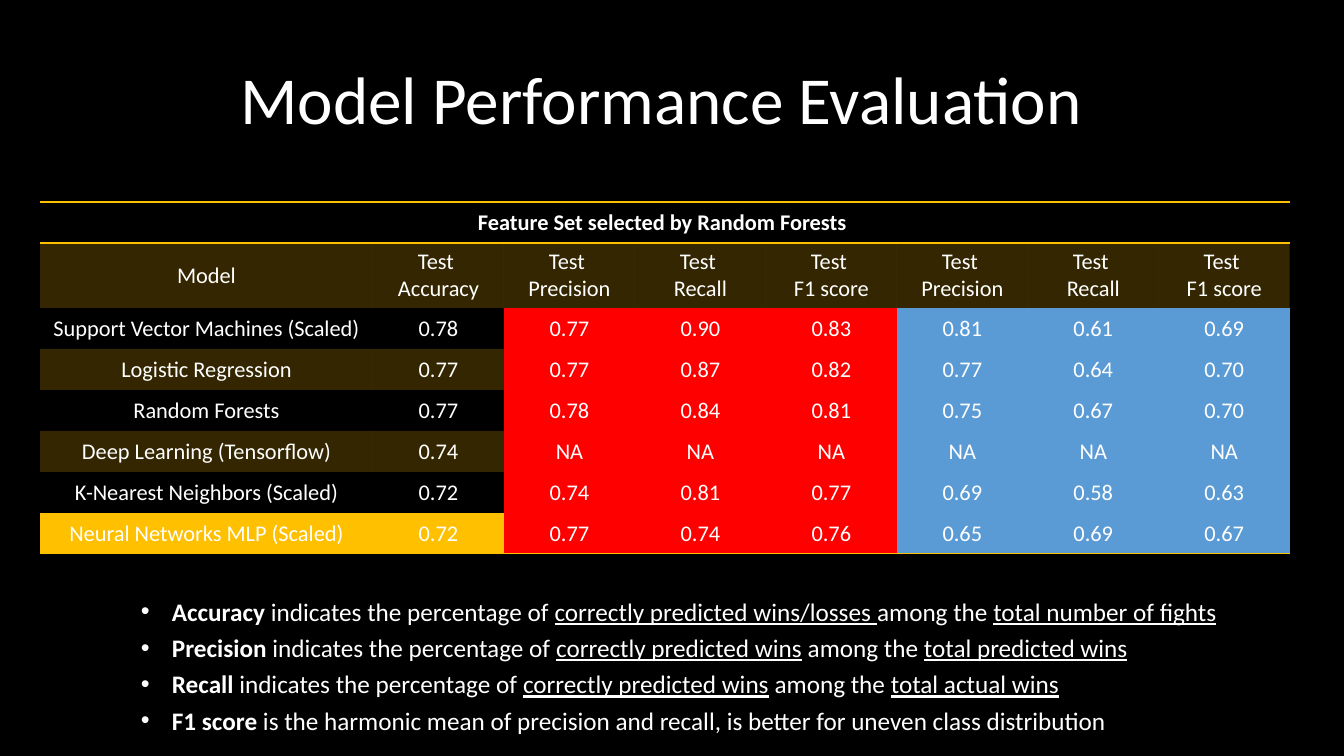
"""Build the model performance evaluation slide with its score table and metric notes."""
from typing import NamedTuple

from lxml import etree
from pptx import Presentation
from pptx import util as u
from pptx.dml import color
from pptx.enum import text
from pptx.oxml import ns

SCALE = 12192000 / 1344
FONT = "Calibri"
WHITE, BLACK, GOLD, RED, BLUE = "FFFFFF", "000000", "FFC000", "FF0000", "5B9BD5"
NO_GRID_STYLE = "{2D5ABB26-0587-4C30-8999-92F81FD0307C}"
COLUMN_WIDTHS = [333] + [131] * 7
ROW_HEIGHT = 41
INDENT = 31


class Box(NamedTuple):
    left: int
    top: int
    width: int
    height: int


class Model(NamedTuple):
    name: str
    accuracy: str
    win_scores: tuple[str, str, str]
    loss_scores: tuple[str, str, str]


class Note(NamedTuple):
    metric: str
    meaning: str
    counted: str = ""
    link: str = ""
    total: str = ""


TITLE_BOX = Box(82, 30, 1159, 146)
TABLE_BOX = Box(40, 202, sum(COLUMN_WIDTHS), ROW_HEIGHT * 8)
NOTES_BOX = Box(131, 585, 1119, 154)

CAPTION = "Feature Set selected by Random Forests "
SCORE_HEADERS = ["Test \nPrecision", "Test \nRecall", "Test \nF1 score"]
HEADERS = ["Model", "Test \nAccuracy"] + SCORE_HEADERS * 2
NA = ("NA", "NA", "NA")
MODELS = [
    Model("Support Vector Machines (Scaled)", "0.78", ("0.77", "0.90", "0.83"), ("0.81", "0.61", "0.69")),
    Model("Logistic Regression", "0.77", ("0.77", "0.87", "0.82"), ("0.77", "0.64", "0.70")),
    Model("Random Forests", "0.77", ("0.78", "0.84", "0.81"), ("0.75", "0.67", "0.70")),
    Model("Deep Learning (Tensorflow)", "0.74", NA, NA),
    Model("K-Nearest Neighbors (Scaled)", "0.72", ("0.74", "0.81", "0.77"), ("0.69", "0.58", "0.63")),
    Model("Neural Networks MLP (Scaled)", "0.72", ("0.77", "0.74", "0.76"), ("0.65", "0.69", "0.67")),
]
PERCENTAGE = " indicates the percentage of "
NOTES = [
    Note("Accuracy", PERCENTAGE, "correctly predicted wins/losses ", "among the ", "total number of fights"),
    Note("Precision", PERCENTAGE, "correctly predicted wins", " among the ", "total predicted wins"),
    Note("Recall", PERCENTAGE, "correctly predicted wins", " among the ", "total actual wins"),
    Note("F1 score", " is the harmonic mean of precision and recall, is better for uneven class distribution"),
]


def px(pixels: int) -> u.Emu:
    return u.Emu(round(pixels * SCALE))


def place(box: Box) -> list[u.Emu]:
    return [px(length) for length in box]


def rgb(value: str) -> color.RGBColor:
    return color.RGBColor.from_string(value)


def style(span, size: int, bold: bool = False, underline: bool = False) -> None:
    font = span.font
    font.name, font.size, font.bold, font.underline = FONT, u.Pt(size), bold, underline
    font.color.rgb = rgb(WHITE)


def add_border(cell, side: str) -> None:
    line = etree.SubElement(cell._tc.get_or_add_tcPr(), ns.qn(f"a:{side}"), w=str(u.Pt(1)))
    fill = etree.SubElement(line, ns.qn("a:solidFill"))
    etree.SubElement(fill, ns.qn("a:srgbClr"), val=GOLD)


def fill_cell(cell, row: int, column: int) -> None:
    banded = row % 2 == 1
    if row > 1 and column > 1:
        cell.fill.solid()
        cell.fill.fore_color.rgb = rgb(RED if column < 5 else BLUE)
    elif banded:
        cell.fill.solid()
        cell.fill.fore_color.rgb = rgb(GOLD)
        tint = cell._tc.tcPr.find(".//" + ns.qn("a:srgbClr"))
        etree.SubElement(tint, ns.qn("a:alpha"), val="20000")
    else:
        cell.fill.background()


def write_cell(cell, words: str, bold: bool) -> None:
    cell.text_frame.text = words
    cell.vertical_anchor = text.MSO_ANCHOR.MIDDLE
    for para in cell.text_frame.paragraphs:
        para.alignment = text.PP_ALIGN.CENTER
        for span in para.runs:
            style(span, 16, bold)


def add_title(page) -> None:
    title = page.shapes.title
    title.left, title.top, title.width, title.height = place(TITLE_BOX)
    frame = title.text_frame
    frame.text = "Model Performance Evaluation"
    frame.vertical_anchor = text.MSO_ANCHOR.MIDDLE
    para = frame.paragraphs[0]
    para.alignment, para.line_spacing = text.PP_ALIGN.CENTER, 0.9
    style(para.runs[0], 48)


def add_scores(page) -> None:
    rows = [[CAPTION] + [""] * 7, HEADERS]
    rows += [[model.name, model.accuracy, *model.win_scores, *model.loss_scores] for model in MODELS]
    table = page.shapes.add_table(len(rows), len(HEADERS), *place(TABLE_BOX)).table
    table.first_row = table.horz_banding = False
    table._tbl.tblPr.find(ns.qn("a:tableStyleId")).text = NO_GRID_STYLE
    for column, width in zip(table.columns, COLUMN_WIDTHS):
        column.width = px(width)
    table.cell(0, 0).merge(table.cell(0, len(HEADERS) - 1))
    borders = {0: ["lnT", "lnB"], len(rows) - 1: ["lnB"]}
    for row, words in enumerate(rows):
        for column, word in enumerate(words):
            cell = table.cell(row, column)
            write_cell(cell, word, bold=row == 0)
            for side in borders.get(row, []):
                add_border(cell, side)
            fill_cell(cell, row, column)


def add_bullet(para) -> None:
    properties = para._p.get_or_add_pPr()
    properties.set("marL", str(px(INDENT)))
    properties.set("indent", str(-px(INDENT)))
    etree.SubElement(properties, ns.qn("a:buFont"), typeface="Arial")
    etree.SubElement(properties, ns.qn("a:buChar"), char="•")


def add_notes(page) -> None:
    frame = page.shapes.add_textbox(*place(NOTES_BOX)).text_frame
    frame.word_wrap = True
    frame.auto_size = text.MSO_AUTO_SIZE.SHAPE_TO_FIT_TEXT
    for index, note in enumerate(NOTES):
        para = frame.add_paragraph() if index else frame.paragraphs[0]
        para.line_spacing = 1.2
        add_bullet(para)
        for field, words in zip(note._fields, note):
            if words:
                span = para.add_run()
                span.text = words
                style(span, 18, field == "metric", field in ("counted", "total"))


def build() -> None:
    deck = Presentation()
    deck.slide_width, deck.slide_height = px(1344), px(756)
    page = deck.slides.add_slide(deck.slide_layouts[5])
    page.background.fill.solid()
    page.background.fill.fore_color.rgb = rgb(BLACK)
    add_title(page)
    add_scores(page)
    add_notes(page)
    deck.save("out.pptx")


build()
